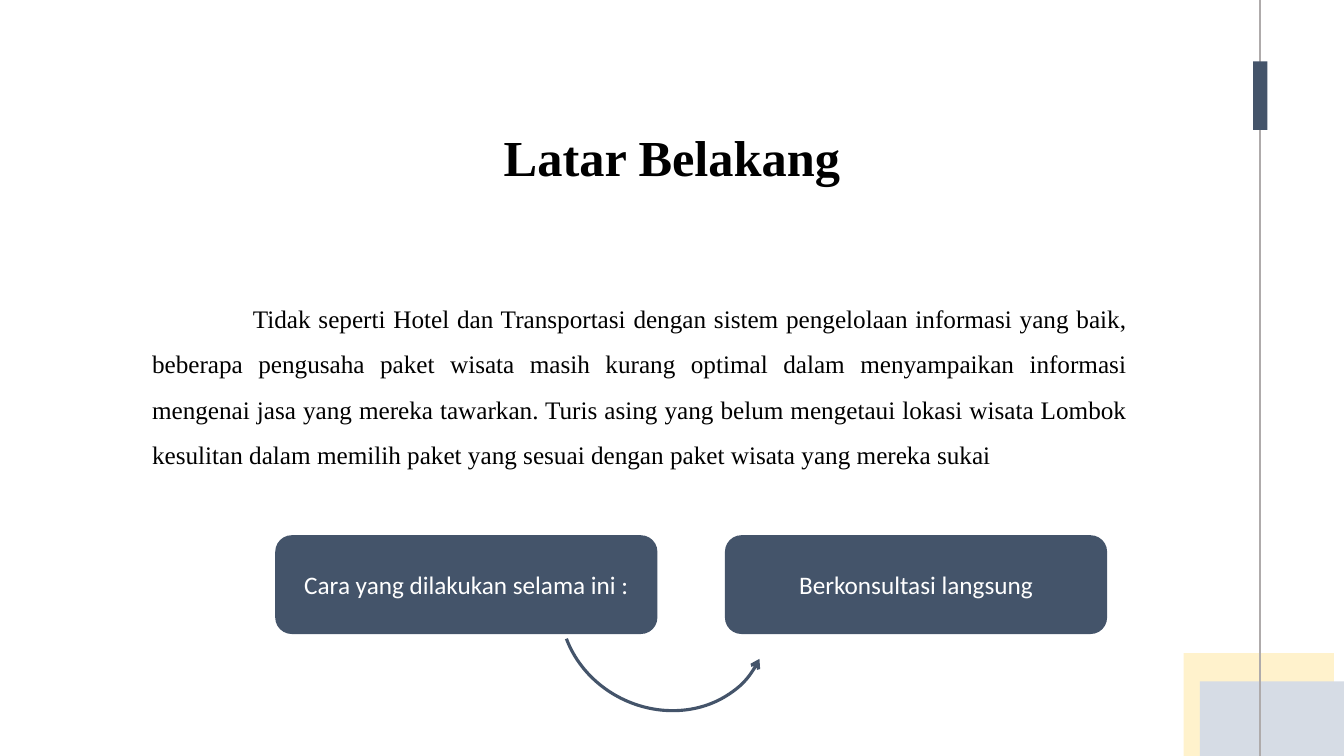
from dataclasses import dataclass

from lxml.etree import SubElement
from pptx import Presentation
from pptx.dml.color import RGBColor
from pptx.enum.shapes import MSO_CONNECTOR, MSO_SHAPE
from pptx.enum.text import MSO_ANCHOR, PP_ALIGN
from pptx.oxml.ns import qn
from pptx.util import Inches, Pt


@dataclass(frozen=True)
class Theme:
    navy: str = "44546A"
    mist: str = "D6DCE5"
    cream: str = "FFF2CC"
    rule: str = "AFABAB"
    ink: str = "000000"
    white: str = "FFFFFF"
    serif: str = "Times New Roman"
    sans: str = "Calibri"
    title_size: int = 36
    body_size: int = 18


THEME = Theme()
WIDTH, HEIGHT = 13.33, 7.5

BACKGROUND = (
    "Tidak seperti Hotel dan Transportasi dengan sistem pengelolaan informasi yang baik, "
    "beberapa pengusaha paket wisata masih kurang optimal dalam menyampaikan informasi "
    "mengenai jasa yang mereka tawarkan. Turis asing yang belum mengetaui lokasi wisata "
    "Lombok kesulitan dalam memilih paket yang sesuai dengan paket wisata yang mereka sukai"
)
STEPS = ["Cara yang dilakukan selama ini :", "Berkonsultasi langsung"]


def color(value):
    return RGBColor.from_string(value)


def add_block(slide, kind, box, fill):
    block = slide.shapes.add_shape(kind, *map(Inches, box))
    block.shadow.inherit = False
    block.fill.solid()
    block.fill.fore_color.rgb = color(fill)
    block.line.fill.background()
    return block


def write(frame, text, font, size, ink, align, anchor, bold=False):
    frame.word_wrap = True
    frame.vertical_anchor = anchor
    paragraph = frame.paragraphs[0]
    paragraph.text = text
    paragraph.alignment = align
    paragraph.font.name = font
    paragraph.font.size = Pt(size)
    paragraph.font.bold = bold
    paragraph.font.color.rgb = color(ink)
    return paragraph


def add_side_decoration(slide, left, top, width, height):
    # Overlapping corner panels, cut at the slide's edge
    panel_width = 1.49
    for x, y, fill in [(left, 6.48, THEME.cream), (left + 0.16, 6.76, THEME.mist)]:
        visible = min(panel_width, left + width - x)
        add_block(slide, MSO_SHAPE.RECTANGLE, (x, y, visible, top + height - y), fill)

    # Vertical rule with its marker
    rule_x = left + 0.76
    rule = slide.shapes.add_connector(
        MSO_CONNECTOR.STRAIGHT, *map(Inches, (rule_x, top, rule_x, top + height)))
    rule.line.color.rgb = color(THEME.rule)
    rule.line.width = Pt(1.5)
    SubElement(rule._element.spPr, qn("a:effectLst"))
    marker_width = 0.14
    add_block(slide, MSO_SHAPE.RECTANGLE,
              (rule_x - marker_width / 2, top + 0.61, marker_width, 0.68), THEME.navy)


def add_title(slide, *box):
    title = slide.shapes.add_textbox(*map(Inches, box))
    heading = write(title.text_frame, "Latar Belakang", THEME.serif, THEME.title_size,
                    THEME.ink, PP_ALIGN.CENTER, MSO_ANCHOR.BOTTOM, bold=True)
    heading.line_spacing = 0.9


def add_background_text(slide, *box):
    body = slide.shapes.add_textbox(*map(Inches, box))
    story = write(body.text_frame, BACKGROUND, THEME.serif, THEME.body_size,
                  THEME.ink, PP_ALIGN.JUSTIFY, MSO_ANCHOR.TOP)
    story.line_spacing = 1.5
    story._p.get_or_add_pPr().set("indent", str(Inches(1)))


def add_steps(slide, left, top, width, height):
    # Equal boxes in a row
    gap = 0.67
    step_width = (width - gap * (len(STEPS) - 1)) / len(STEPS)
    for column, text in enumerate(STEPS):
        step = add_block(slide, MSO_SHAPE.ROUNDED_RECTANGLE,
                         (left + column * (step_width + gap), top, step_width, height),
                         THEME.navy)
        write(step.text_frame, text, THEME.sans, THEME.body_size,
              THEME.white, PP_ALIGN.CENTER, MSO_ANCHOR.MIDDLE)

    # Curved arrow beneath, from the first box to the second
    curve = slide.shapes.add_shape(
        MSO_SHAPE.ARC, *map(Inches, (left + 2.81, top - 0.15, 2.09, 1.87)))
    curve.shadow.inherit = False
    curve.fill.background()
    curve.adjustments[0] = 131.42
    curve.adjustments[1] = 0
    curve.rotation = 25
    curve._element.spPr.find(qn("a:xfrm")).set("flipV", "1")
    curve.line.color.rgb = color(THEME.navy)
    curve.line.width = Pt(2.25)
    SubElement(curve.line._get_or_add_ln(), qn("a:tailEnd"), type="arrow")


def main():
    deck = Presentation()
    deck.slide_width, deck.slide_height = Inches(WIDTH), Inches(HEIGHT)
    slide = deck.slides.add_slide(deck.slide_layouts[6])
    decoration_left = 11.74
    add_side_decoration(slide, decoration_left, 0, WIDTH - decoration_left, HEIGHT)
    title_width = 4.19
    add_title(slide, (WIDTH - title_width) / 2, 1.09, title_width, 0.82)
    add_background_text(slide, 1.41, 2.81, 9.87, 3.48)
    add_steps(slide, 2.73, 5.31, 8.25, 0.98)
    deck.save("out.pptx")


if __name__ == "__main__":
    main()
